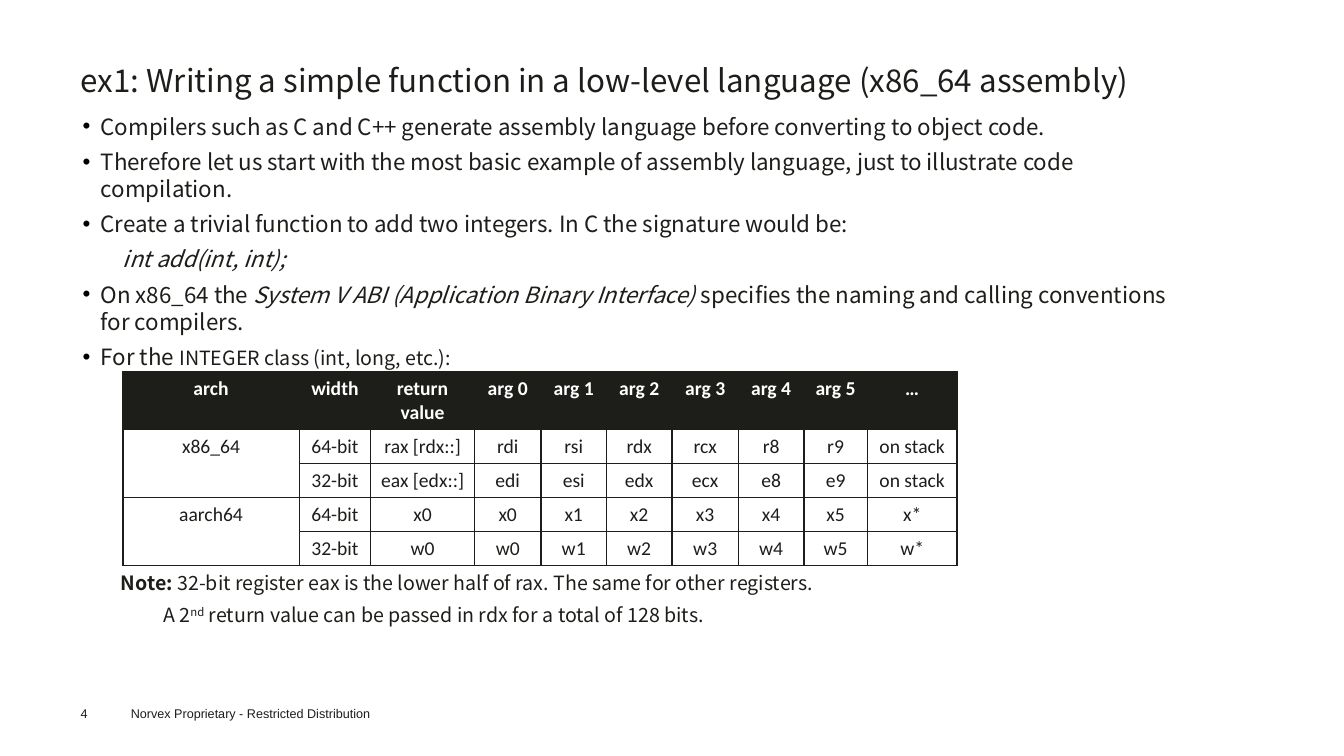
"""Build the slide on a simple assembly function and its register table."""
from lxml import etree
from pptx import Presentation
from pptx import util as u
from pptx.dml.color import RGBColor
from pptx.enum import text as t
from pptx.oxml.ns import qn

HUES = {"ink": "1D1D1A", "foot": "1D1D1B", "white": "FFFFFF", "dot": "000000"}
SANS = "Noto Sans CJK SC"
LEFT, STEP = 0.8, 0.42


def write(frame, runs, size=16, face=SANS, hue="ink", bold=None, line=None,
          after=0, left=0, hang=0, align="LEFT", bullet=False):
    """Add one paragraph; each run is a string or a (string, style) pair."""
    para = frame.paragraphs[0]
    if para.runs:
        para = frame.add_paragraph()
    props = para._p.get_or_add_pPr()
    props.set("marL", str(u.Inches(left)))
    props.set("indent", str(u.Inches(-hang)))
    if bullet:
        tint = etree.SubElement(props, qn("a:buClr"))
        etree.SubElement(tint, qn("a:srgbClr")).set("val", HUES["dot"])
        etree.SubElement(props, qn("a:buChar")).set("char", "•")
    else:
        etree.SubElement(props, qn("a:buNone"))
    para.alignment = t.PP_ALIGN[align]
    para.space_before, para.space_after = u.Pt(0), u.Pt(after)
    if line:
        para.line_spacing = u.Pt(line)
    for item in runs:
        words, style = (item, {}) if isinstance(item, str) else item
        run = para.add_run()
        run.text = words
        font = run.font
        font.name, font.size = face, u.Pt(style.get("size", size))
        font.bold, font.italic = style.get("bold", bold), style.get("italic")
        font.color.rgb = RGBColor.from_string(HUES[hue])
        if "base" in style:
            run._r.get_or_add_rPr().set("baseline", str(style["base"]))


def place(shape, x, y, w, h, pad=0):
    """Set the position and the text margins of a shape; return its frame."""
    shape.left, shape.top = u.Inches(x), u.Inches(y)
    shape.width, shape.height = u.Inches(w), u.Inches(h)
    frame = shape.text_frame
    frame.word_wrap, frame.auto_size = True, t.MSO_AUTO_SIZE.NONE
    frame.vertical_anchor = t.MSO_ANCHOR.TOP
    frame.margin_left = frame.margin_right = u.Inches(pad)
    frame.margin_top = frame.margin_bottom = u.Inches(pad / 2)
    return frame


deck = Presentation()
deck.slide_width, deck.slide_height = u.Inches(13.34), u.Inches(7.5)
slide = deck.slides.add_slide(deck.slide_layouts[1])
shapes = slide.shapes

title = place(shapes.title, LEFT, 0.5, 11.75, 0.62)
write(title, ["ex1: Writing a simple function in a low-level language (x86_64 assembly)"],
      size=22.4, line=34.3)

body = place(slide.placeholders[1], LEFT, 1.12, 11.04, 2.57)
slant = {"italic": True}
dot = dict(left=0.2, hang=0.18, bullet=True)
points = [
    (["Compilers such as C and C++ generate assembly language before "
      "converting to object code."], dot),
    (["Therefore let us start with the most basic example of assembly "
      "language, just to illustrate code compilation."], dot),
    (["Create a trivial function to add two integers. In C the signature would be:"], dot),
    ([("int add(int, int);", slant)], dict(left=STEP)),
    (["On x86_64 the ", ("System V ABI (Application Binary Interface)", slant),
      " specifies the naming and calling conventions for compilers."], dot),
    (["For the ", ("INTEGER class (int, long, etc.):", {"size": 14})], dot),
]
for runs, form in points:
    write(body, runs, line=19.2, after=6, **form)

rows = [
    ["arch", "width", "return\nvalue", *(f"arg {n}" for n in range(6)), "…"],
    ["x86_64", "64-bit", "rax [rdx::]", "rdi", "rsi", "rdx", "rcx", "r8", "r9", "on stack"],
    ["", "32-bit", "eax [edx::]", "edi", "esi", "edx", "ecx", "e8", "e9", "on stack"],
    ["aarch64", "64-bit", "x0", *(f"x{n}" for n in range(6)), "x*"],
    ["", "32-bit", "w0", *(f"w{n}" for n in range(6)), "w*"],
]
wide = [1.75, 0.71, 1.03, 0.66, 0.65, 0.65, 0.66, 0.65, 0.63, 0.89]
high = [0.48] + [0.28] * 4
grid = shapes.add_table(len(rows), len(wide), u.Inches(LEFT + STEP), u.Inches(3.69),
                        u.Inches(sum(wide)), u.Inches(sum(high))).table
for col, size in zip(grid.columns, wide):
    col.width = u.Inches(size)
for row, size in zip(grid.rows, high):
    row.height = u.Inches(size)
for r, row in enumerate(rows):
    head = r == 0
    for c, words in enumerate(row):
        cell = grid.cell(r, c)
        for part in words.split("\n") if words else []:
            write(cell.text_frame, [part], size=14, face="Calibri", bold=head,
                  hue="white" if head else "ink", align="CENTER")
        props = cell._tc.get_or_add_tcPr()
        for side in ("lnL", "lnR", "lnT", "lnB"):
            edge = etree.SubElement(props, qn(f"a:{side}"), w=str(u.Pt(1)))
            fill = etree.SubElement(edge, qn("a:solidFill"))
            etree.SubElement(fill, qn("a:srgbClr")).set("val", HUES["ink"])
        cell.fill.solid()
        cell.fill.fore_color.rgb = RGBColor.from_string(HUES["ink" if head else "white"])
for r in (1, 3):
    grid.cell(r, 0).merge(grid.cell(r + 1, 0))

note = place(shapes.add_textbox(0, 0, 0, 0), LEFT + 0.4, 5.66, 10.64, 0.66)
write(note, [("Note:", {"bold": True}),
             " 32-bit register eax is the lower half of rax. The same for other registers."],
      size=14, line=17, after=6)
write(note, ["A 2", ("nd", {"base": 30000}),
             " return value can be passed in rdx for a total of 128 bits."],
      size=14, line=17, after=6, left=STEP)

foot = [("4", LEFT, 7, 0.55, 0.15, 0),
        ("Norvex Proprietary - Restricted Distribution", 1.2, 6.95, 3.83, 0.25, 0.1)]
for words, *spot in foot:
    write(place(shapes.add_textbox(0, 0, 0, 0), *spot), [words],
          size=9, face="Arial", hue="foot")

deck.save("out.pptx")
